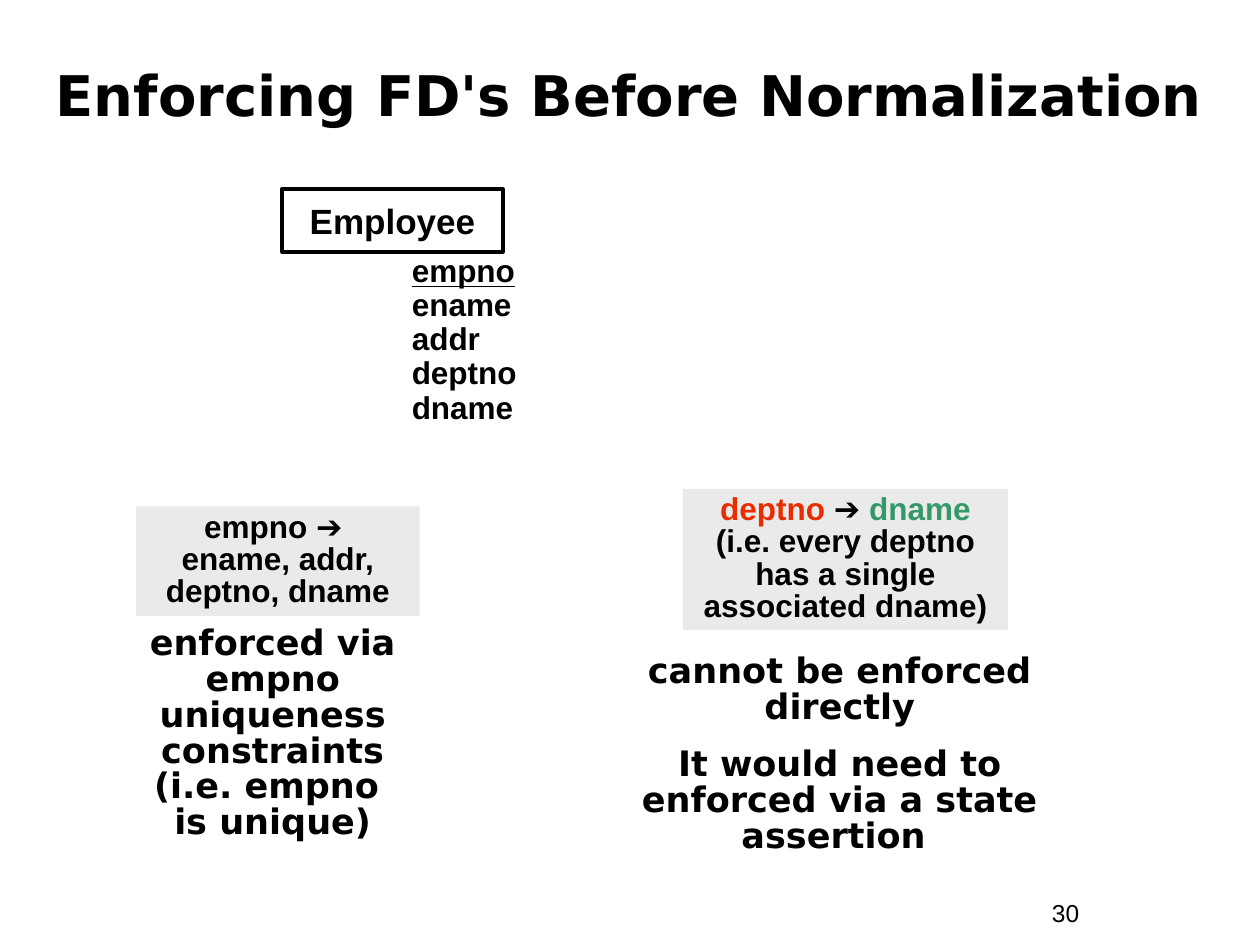
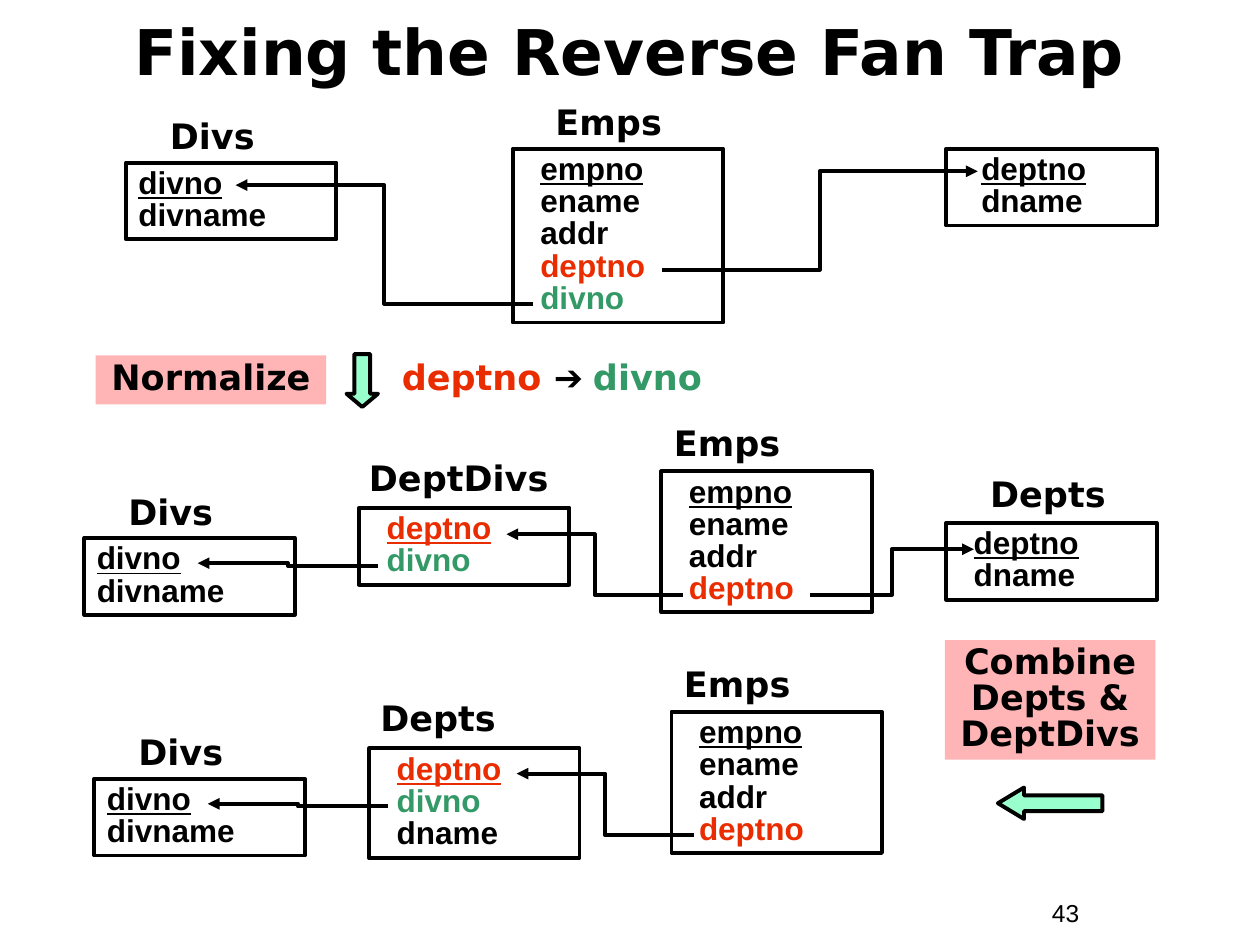
"""Build two slides on enforcing functional dependencies and fixing the reverse fan trap."""
from lxml import etree
from pptx import Presentation
from pptx import util as u
from pptx.dml import color
from pptx.enum import shapes, text
from pptx.oxml import ns

PX = 9144
SANS, ARIAL = "DejaVu Sans", "Arial"
BLACK, RED, GREEN = "000000", "EA2D00", "339966"
GRAY, PINK, MINT = "EAEAEA", "FFB5B5", "99FFCC"
LINE_WIDTH = u.Pt(2.25)
LEFT, CENTER = text.PP_ALIGN.LEFT, text.PP_ALIGN.CENTER
RECTANGLE = shapes.MSO_SHAPE.RECTANGLE

rgb = color.RGBColor.from_string


def add_box(slide, place, paragraphs=(), size=20, font=SANS, bold=True, align=CENTER, spacing=0.85,
            before=0, indent=0, kind=None, fill=None, outlined=False,
            anchor=text.MSO_ANCHOR.TOP):
    """Add a text box or preset shape; a paragraph is a list of (text, colour, font) runs."""
    place = [value * PX for value in place]
    if kind is None:
        shape = slide.shapes.add_textbox(*place)
    else:
        shape = slide.shapes.add_shape(kind, *place)
        shape.shadow.inherit = False
        if fill:
            shape.fill.solid()
            shape.fill.fore_color.rgb = rgb(fill)
        else:
            shape.fill.background()
        if outlined:
            shape.line.color.rgb = rgb(BLACK)
            shape.line.width = LINE_WIDTH
        else:
            shape.line.fill.background()
    frame = shape.text_frame
    frame.word_wrap = True
    frame.vertical_anchor = anchor
    for number, runs in enumerate(paragraphs):
        paragraph = frame.add_paragraph() if number else frame.paragraphs[0]
        paragraph.alignment = align
        paragraph.line_spacing = spacing
        paragraph.space_before = u.Pt(before if number else 0)
        if indent:
            paragraph._p.get_or_add_pPr().set("marL", str(indent * PX))
        paragraph.font.size = u.Pt(size)
        paragraph.font.name = font
        paragraph.font.bold = bold
        paragraph.font.color.rgb = rgb(runs[0][1])
        for words, run_color, *run_font in runs:
            for line_number, line in enumerate(words.split("\n")):
                if line_number:
                    paragraph.add_line_break()
                if line:
                    run = paragraph.add_run()
                    run.text = line
                    if run_color != runs[0][1]:
                        run.font.color.rgb = rgb(run_color)
                    if run_font:
                        run.font.name = run_font[0]
    return shape


presentation = Presentation()
presentation.slide_width = 1000 * PX
presentation.slide_height = 750 * PX

slides = []
for title, top, height, size, page in [
    ("Enforcing FD's Before Normalization", 33, 92, 32, "30"),
    ("Fixing the Reverse Fan Trap", 6, 78, 36, "43"),
]:
    slide = presentation.slides.add_slide(presentation.slide_layouts[6])
    add_box(slide, (33, top, 933, height), [[(title, BLACK)]], size,
            anchor=text.MSO_ANCHOR.MIDDLE)
    add_box(slide, (825, 708, 92, 34), [[(page, BLACK)]], 14, ARIAL, False, LEFT, 1.0)
    slides.append(slide)
enforcing, fixing = slides

employee = add_box(enforcing, (224, 150, 175, 50), [[("Employee", BLACK)]], 20, ARIAL, spacing=1.0,
                   kind=RECTANGLE, outlined=True, anchor=text.MSO_ANCHOR.MIDDLE)
employee.text_frame.word_wrap = False
attributes = add_box(
    enforcing, (317, 198, 117, 145),
    [[(name, BLACK)] for name in ("empno", "ename", "addr", "deptno", "dname")],
    18, ARIAL, align=LEFT, spacing=0.9)
attributes.text_frame.paragraphs[0].font.underline = True

for place, runs in [
    ((108, 402, 225, 87), [("empno ➔ \nename, addr, deptno, dname", BLACK)]),
    ((542, 388, 258, 112), [
        ("deptno ", RED), ("➔ ", BLACK), ("dname\n", GREEN),
        ("(i.e. every deptno has a single associated dname)", BLACK)]),
]:
    add_box(enforcing, place, [runs], 18, ARIAL, kind=RECTANGLE, fill=GRAY)

for place, paragraphs in [
    ((83, 493, 267, 180),
     ["enforced via\nempno uniqueness constraints\n(i.e. empno \nis unique)"]),
    ((475, 515, 383, 141),
     ["cannot be enforced directly", "It would need to enforced via a state assertion "]),
]:
    add_box(enforcing, place, [[(words, BLACK)] for words in paragraphs], before=12.5)

DIVS = [("divno", BLACK), ("divname", BLACK)]
DEPTS = [("deptno", BLACK), ("dname", BLACK)]
DEPT_DIVS = [("deptno", RED), ("divno", GREEN)]
EMPS = [("empno", BLACK), ("ename", BLACK), ("addr", BLACK), ("deptno", RED)]

for name, name_place, left, top, indent, fields in [
    ("Divs", (125, 86, 108), 100, 129, 0, DIVS),
    ("Emps", (431, 75, 108), 407, 118, 12, EMPS + [("divno", GREEN)]),
    (None, None, 751, 118, 18, DEPTS),
    ("Divs", (92, 384, 108), 67, 427, 0, DIVS),
    ("DeptDivs", (283, 357, 176), 285, 403, 12, DEPT_DIVS),
    ("Emps", (525, 330, 108), 525, 374, 12, EMPS),
    ("Depts", (776, 370, 124), 751, 415, 12, DEPTS),
    ("Divs", (100, 575, 108), 75, 618, 0, DIVS),
    ("Depts", (292, 548, 176), 293, 594, 12, DEPT_DIVS + [("dname", BLACK)]),
    ("Emps", (533, 521, 108), 533, 565, 12, EMPS),
]:
    if name:
        add_box(fixing, (*name_place, 44), [[(name, BLACK)]], align=LEFT, spacing=1.0)
    height = round(10 + 25.6 * len(fields))
    relation = add_box(fixing, (left, top, 167, height), [[field] for field in fields], 18, ARIAL,
                       align=LEFT, indent=indent, kind=RECTANGLE, outlined=True)
    relation.text_frame.paragraphs[0].font.underline = True

for ends in [
    (423, 241, 187, 147), (525, 214, 776, 136),
    (300, 449, 157, 447), (542, 472, 402, 424), (643, 472, 773, 436),
    (308, 640, 165, 638), (551, 663, 410, 614),
]:
    reference = fixing.shapes.add_connector(
        shapes.MSO_CONNECTOR.ELBOW, *[value * PX for value in ends])
    reference.line.color.rgb = rgb(BLACK)
    reference.line.width = LINE_WIDTH
    etree.SubElement(reference.line._get_or_add_ln(), ns.qn("a:tailEnd"), type="triangle")
    etree.SubElement(reference._element.spPr, ns.qn("a:effectLst"))

for place, words in [
    ((76, 282, 183, 39), "Normalize"),
    ((750, 508, 167, 95), "Combine\nDepts &\nDeptDivs"),
]:
    add_box(fixing, place, [[(words, BLACK)]], kind=RECTANGLE, fill=PINK)
add_box(fixing, (292, 282, 292, 39),
        [[("deptno ", RED), ("➔ ", BLACK, ARIAL), ("divno", GREEN)]])

for kind, place, head in [
    (shapes.MSO_SHAPE.DOWN_ARROW, (275, 281, 25, 42), 0.42),
    (shapes.MSO_SHAPE.LEFT_ARROW, (792, 625, 83, 25), 0.83),
]:
    arrow = add_box(fixing, place, kind=kind, fill=MINT, outlined=True)
    arrow.adjustments[0] = 0.5
    arrow.adjustments[1] = head

presentation.save("out.pptx")
